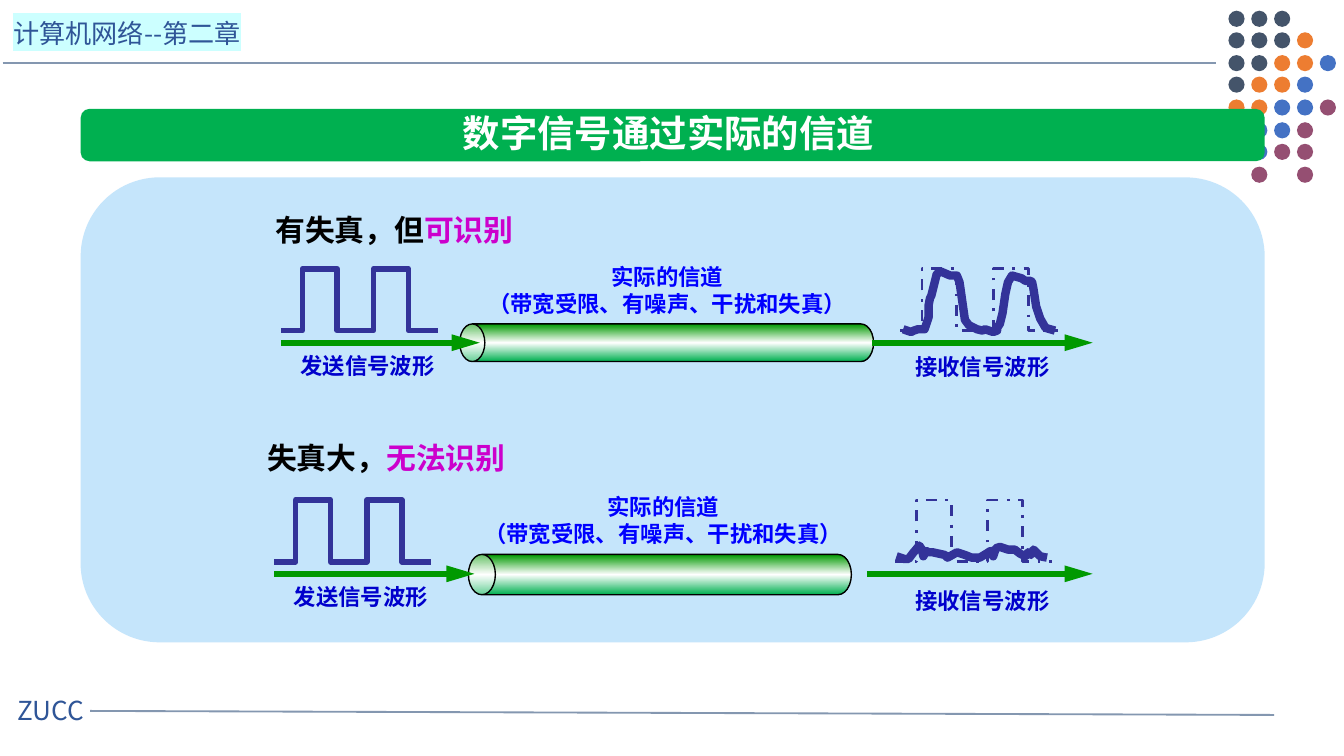
"""Build a slide on digital signals passing through two real channels."""
from lxml.etree import SubElement
from pptx import Presentation
from pptx.dml.color import RGBColor
from pptx.enum.dml import MSO_LINE_DASH_STYLE as Dash
from pptx.enum.shapes import MSO_CONNECTOR as Link, MSO_SHAPE as Kind
from pptx.enum.text import MSO_AUTO_SIZE as Fit, PP_ALIGN as Align
from pptx.oxml import parse_xml
from pptx.oxml.ns import nsdecls, qn
from pptx.util import Inches, Pt


def paint(fill, colour):
    fill.solid()
    fill.fore_color.rgb = RGBColor.from_string(colour)


def trace(points, left, top, width, dash=None):
    pen = shapes.build_freeform(*points[0], scale=cell)
    pen.add_line_segments(points[1:], close=False)
    wave = pen.convert_to_shape(left * cell, top * cell)
    wave.fill.background()
    wave.shadow.inherit = False
    paint(wave.line.fill, "333399")
    wave.line.width = Pt(width)
    if dash:
        wave.line.dash_style = dash


FONT = "Noto Sans CJK SC"
NAVY, BLUE, LABEL, GREEN = "2F5597", "0000FF", "0000CC", "009900"
BLACK, MAGENTA, WHITE = "000000", "CC00CC", "FFFFFF"

prs = Presentation()
prs.slide_width = Inches(10)
prs.slide_height = prs.slide_width * 9 // 16
cell = prs.slide_width // 1000
slide = prs.slides.add_slide(prs.slide_layouts[5])
shapes = slide.shapes

dot_colours = {"N": "44546A", "O": "ED7D31", "B": "4472C4", "P": "954F72"}
dot_rows = ["NNN", "NNNO", "NNOOB", "NOOB", "OOBBP", " BBP", "BBPP", " P P"]
blocks = [
    (Kind.OVAL, 914 + 17 * col, 8 + 83 * row // 5, 12, 12, dot_colours[key], None)
    for row, keys in enumerate(dot_rows)
    for col, key in enumerate(keys)
    if key != " "
]
blocks += [
    (Kind.ROUNDED_RECTANGLE, 60, 81, 881, 39, "00B050", 0.17),
    (Kind.ROUNDED_RECTANGLE, 60, 132, 881, 346, "C5E5FB", 0.17),
]
for kind, left, top, width, height, colour, corner in blocks:
    block = shapes.add_shape(kind, left * cell, top * cell, width * cell, height * cell)
    paint(block.fill, colour)
    block.line.fill.background()
    block.shadow.inherit = False
    if corner:
        block.adjustments[0] = corner

pulses = [(0, 46), (16, 46), (16, 0), (42, 0), (42, 46),
          (69, 46), (69, 0), (95, 0), (95, 46), (117, 46)]
readable = [
    (2, 45), (8, 47), (10, 46), (13, 45), (18, 45), (21, 36), (21, 27), (22, 22),
    (23, 20), (25, 12), (27, 4), (30, 2), (37, 5), (42, 5), (44, 10), (46, 24),
    (48, 38), (51, 42), (57, 45), (61, 46), (63, 45), (69, 47), (72, 46), (72, 44),
    (74, 41), (76, 33), (78, 19), (80, 10), (83, 5), (90, 7), (93, 9), (97, 9),
    (98, 10), (99, 15), (101, 28), (104, 37), (108, 44), (115, 46)]
unreadable = [
    (1, 42), (7, 44), (10, 44), (13, 40), (18, 34), (20, 37), (21, 42), (23, 38),
    (25, 39), (28, 39), (37, 41), (39, 43), (46, 39), (52, 41), (57, 43), (63, 43),
    (68, 40), (71, 38), (73, 42), (75, 36), (78, 35), (84, 37), (89, 37), (93, 40),
    (97, 42), (99, 39), (101, 41), (103, 37), (108, 42), (113, 43)]
stops = "".join(
    f'<a:gs pos="{share}000"><a:srgbClr val="{colour}"/></a:gs>'
    for share, colour in [(0, "00B050"), (50, WHITE), (100, GREEN)])

channels = [
    (209, 670, 200, readable, 496, 308, 28),
    (204, 666, 372, unreadable, 491, 285, 30),
]
for sent, received, top, distorted, middle, length, bore in channels:
    axis = top + 55
    pipe = shapes.add_shape(
        Kind.CAN, (middle - bore // 2) * cell, (axis - length // 2) * cell,
        bore * cell, length * cell)
    pipe.rotation = 270
    pipe.adjustments[0] = 0.67
    pipe.shadow.inherit = False
    paint(pipe.line.fill, BLACK)
    pipe.line.width = Pt(0.75)
    pipe.element.spPr.find(qn("a:prstGeom")).addnext(parse_xml(
        f'<a:gradFill {nsdecls("a")} rotWithShape="1"><a:gsLst>{stops}</a:gsLst>'
        '<a:lin ang="0" scaled="1"/></a:gradFill>'))
    trace(pulses, sent, top, 3)
    trace(pulses, received, top, 1.5, Dash.DASH_DOT)
    trace(distorted, received, top, 4.5)

lines = [
    (2, 47, 905, 47, "8497B0", 1),
    (67, 529, 948, 532, "8497B0", 1),
    (209, 255, 357, 255, GREEN, 3),
    (649, 255, 813, 255, GREEN, 3),
    (204, 427, 353, 427, GREEN, 3),
    (645, 427, 813, 427, GREEN, 3),
]
for x1, y1, x2, y2, colour, width in lines:
    line = shapes.add_connector(Link.STRAIGHT, x1 * cell, y1 * cell, x2 * cell, y2 * cell)
    paint(line.line.fill, colour)
    line.line.width = Pt(width)
    if colour == GREEN:
        SubElement(line.line._get_or_add_ln(), qn("a:tailEnd"), type="triangle", len="lg")
    SubElement(line.element.spPr, qn("a:effectLst"))

title = shapes.title
title.element.getparent().append(title.element)
channel_name = [[("实际的信道", BLUE)], [("（带宽受限、有噪声、干扰和失真）", BLUE)]]
sent_name = [[("发送信号波形", LABEL)]]
received_name = [[("接收信号波形", LABEL)]]
texts = [
    (332, 77, 337, 44, 20, Align.CENTER, 1, [[("数字信号通过实际的信道 ", WHITE)]]),
    (3, 512, 89, 34, 14, Align.LEFT, 1, [[("ZUCC", NAVY)]]),
    (0, 8, 216, 34, 14, Align.LEFT, 1, [[("计算机网络--第二章", NAVY)]]),
    (195, 150, 200, 40, 16, Align.LEFT, 1.1, [[("有失真，但", BLACK), ("可识别", MAGENTA)]]),
    (352, 191, 289, 50, 12, Align.CENTER, 1, channel_name),
    (213, 257, 121, 30, 12, Align.CENTER, 1, sent_name),
    (658, 258, 146, 30, 12, Align.CENTER, 1, received_name),
    (189, 322, 206, 37, 16, Align.LEFT, 1, [[("失真大，", BLACK), ("无法识别", MAGENTA)]]),
    (349, 362, 289, 51, 12, Align.CENTER, 1, channel_name),
    (208, 429, 121, 30, 12, Align.CENTER, 1, sent_name),
    (661, 432, 140, 30, 12, Align.CENTER, 1, received_name),
]
for left, top, width, height, size, align, spacing, paragraphs in texts:
    box = title if size == 20 else shapes.add_textbox(0, 0, 0, 0)
    box.left, box.top, box.width, box.height = (
        side * cell for side in (left, top, width, height))
    frame = box.text_frame
    frame.word_wrap = size == 14
    frame.auto_size = Fit.NONE
    for number, runs in enumerate(paragraphs):
        paragraph = frame.add_paragraph() if number else frame.paragraphs[0]
        paragraph.alignment = align
        paragraph.line_spacing = spacing
        for words, colour in runs:
            run = paragraph.add_run()
            run.text = words
            run.font.size = Pt(size)
            run.font.bold = colour != NAVY
            run.font.name = FONT
            paint(run.font.fill, colour)
            SubElement(run.font._element, qn("a:ea"), typeface=FONT)
            if top == 8:
                run.font._element.find(qn("a:solidFill")).addnext(parse_xml(
                    f'<a:highlight {nsdecls("a")}><a:srgbClr val="CCFFFF"/></a:highlight>'))

prs.save("out.pptx")
